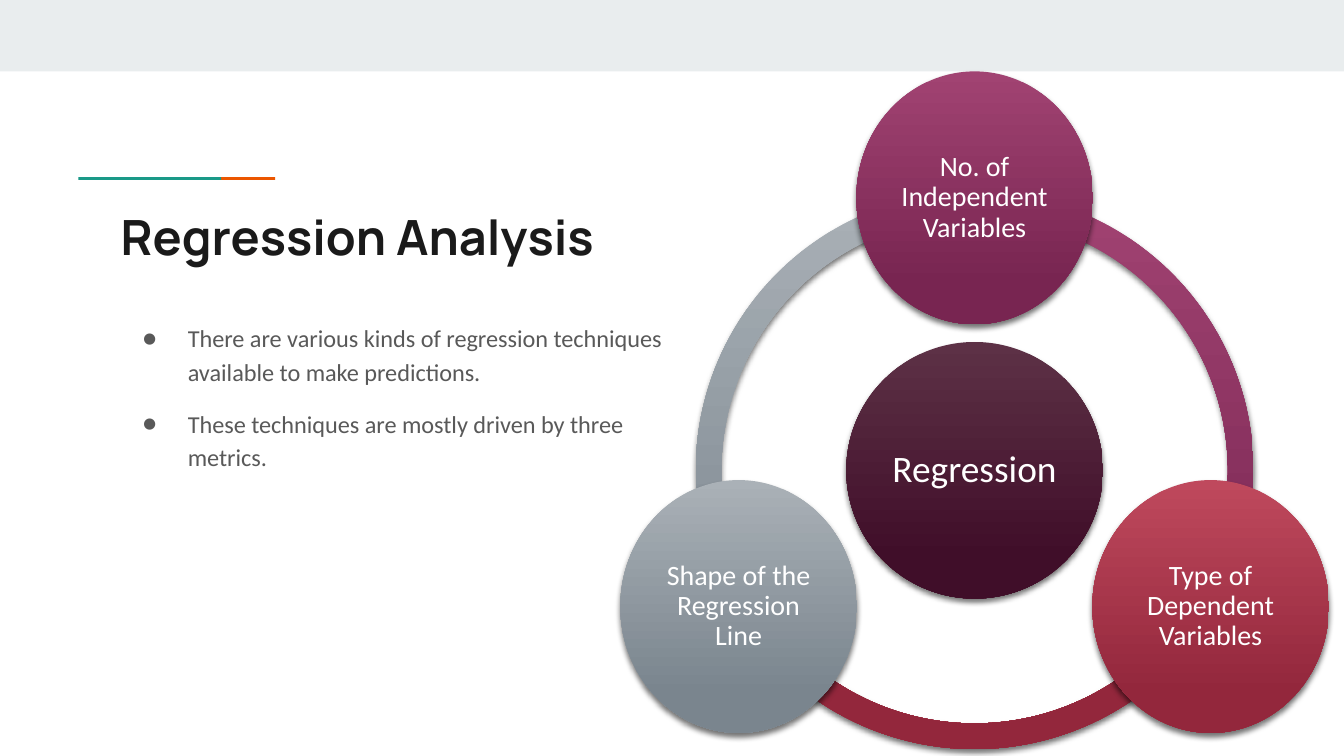
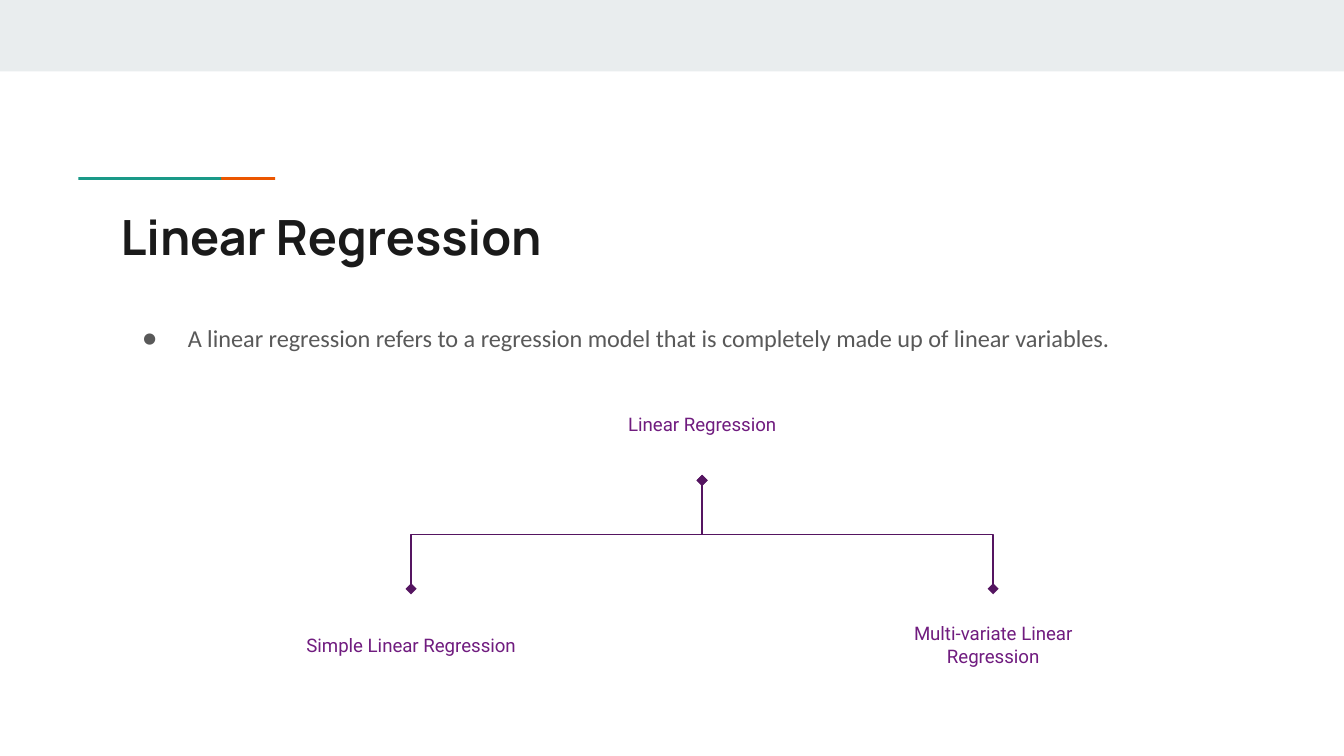
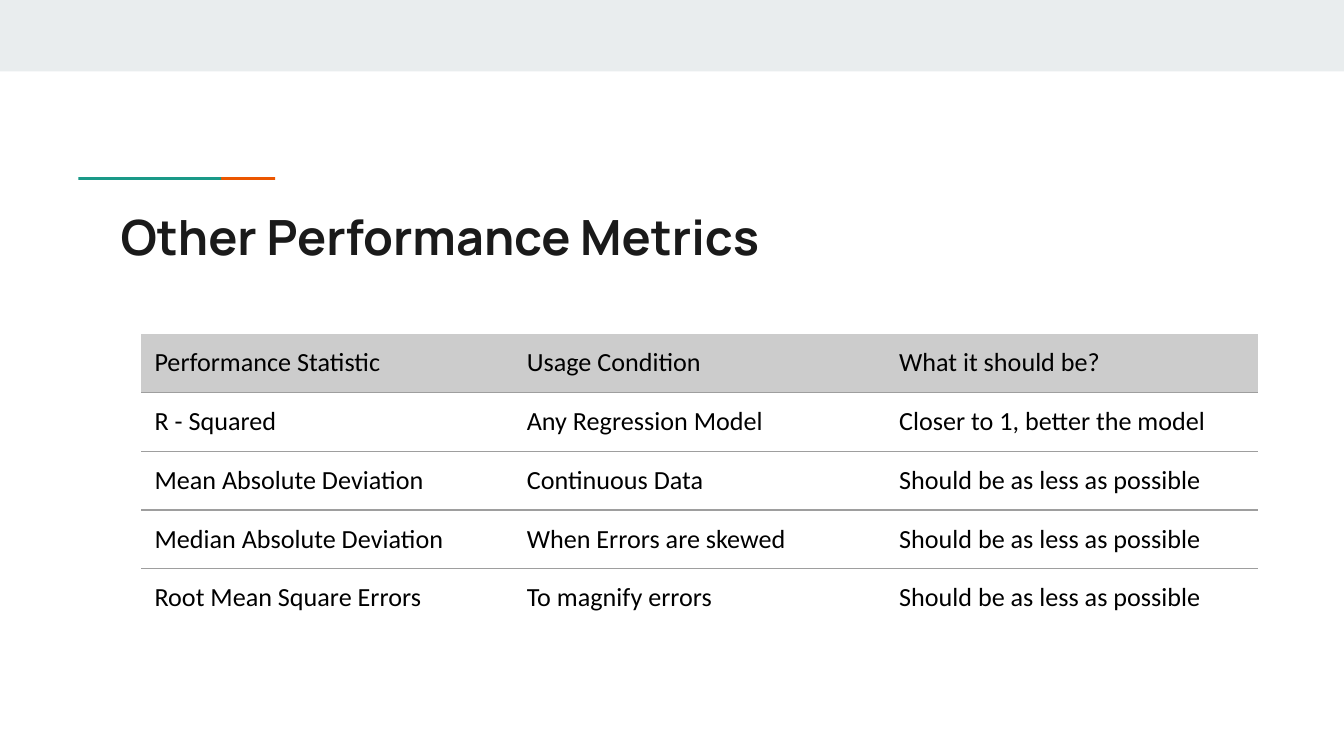
import math

import lxml.etree
import pptx
import pptx.dml.color
import pptx.enum.shapes
import pptx.enum.text
import pptx.oxml
import pptx.oxml.ns
import pptx.util

Cm = pptx.util.Cm
Pt = pptx.util.Pt
Shape = pptx.enum.shapes.MSO_SHAPE
Align = pptx.enum.text.PP_ALIGN
Anchor = pptx.enum.text.MSO_ANCHOR
qn = pptx.oxml.ns.qn

COLOURS = {
    "band": "E9EDEE", "teal": "1A9988", "orange": "EB5600",
    "title": "1A1A1A", "body": "595959", "white": "FFFFFF", "black": "000000",
    "tree line": "551561", "tree text": "701C7F",
    "header": "CCCCCC", "rule": "9E9E9E",
    "grey top": "AAB1B7", "grey": "7A858E",
    "red top": "BF495D", "red": "93273C",
    "berry top": "A14372", "berry": "782551",
    "plum top": "5D3146", "plum": "400E29",
}
INSET = Cm(0.25)
CONTENT_LEFT, CONTENT_WIDTH = Cm(2.03), Cm(21.36)
BODY_SIZE = 13


def colour(name):
    """Return a named colour as an RGBColor."""
    return pptx.dml.color.RGBColor.from_string(COLOURS[name])


def drawing(xml):
    """Parse one DrawingML element written with the prefix a."""
    head, mark, rest = xml.partition(" ")
    return pptx.oxml.parse_xml(f"{head} {pptx.oxml.ns.nsdecls('a')}{mark}{rest}")


def set_font(para, name, size, colour_name, bold=False):
    """Set the font of a whole paragraph."""
    para.font.name = name
    para.font.size = Pt(size)
    para.font.bold = bold
    para.font.color.rgb = colour(colour_name)


def set_insets(frame, inset):
    """Make a text frame wrap and give it equal margins."""
    frame.word_wrap = True
    frame.margin_left = frame.margin_right = inset
    frame.margin_top = frame.margin_bottom = inset


def add_text_box(page, left, top, width, height):
    """Add a wrapping text box and return its text frame."""
    frame = page.shapes.add_textbox(left, top, width, height).text_frame
    set_insets(frame, INSET)
    return frame


def add_bar(page, left, top, width, height, fill):
    """Add a plain filled rectangle."""
    bar = page.shapes.add_shape(Shape.RECTANGLE, left, top, width, height)
    bar.shadow.inherit = False
    bar.fill.solid()
    bar.fill.fore_color.rgb = colour(fill)
    bar.line.fill.background()


def add_page(deck, title):
    """Add a page with the band, the two-colour rule and the title."""
    page = deck.slides.add_slide(deck.slide_layouts[6])
    add_bar(page, 0, 0, deck.slide_width, Cm(1.35), "band")
    # The teal bar lies over the start of the orange one.
    for left, fill in ((Cm(2.5), "orange"), (Cm(1.48), "teal")):
        add_bar(page, left, Cm(3.35), Cm(2.7), Cm(0.05), fill)
    frame = add_text_box(page, CONTENT_LEFT, Cm(3.66), CONTENT_WIDTH, Cm(1.5))
    frame.text = title
    set_font(frame.paragraphs[0], "Manrope", 26, "title", bold=True)
    return page


def add_bullets(page, left, top, width, height, lines):
    """Add a bulleted list."""
    frame = add_text_box(page, left, top, width, height)
    frame.text = "\n".join(lines)
    for index, para in enumerate(frame.paragraphs):
        settings = para._p.get_or_add_pPr()
        settings.set("marL", str(Cm(1.27)))
        settings.set("indent", str(-Cm(0.86)))
        settings.append(drawing(
            f'<a:buClr ><a:srgbClr val="{COLOURS["body"]}"/></a:buClr>'))
        settings.append(drawing(f'<a:buSzPts val="{BODY_SIZE * 100}"/>'))
        settings.append(drawing('<a:buFont typeface="Calibri"/>'))
        settings.append(drawing('<a:buChar char="●"/>'))
        para.line_spacing = 1.15
        if index:
            para.space_before = para.space_after = Pt(10)
        set_font(para, "Calibri", BODY_SIZE, "body")


def add_glossy(page, kind, left, top, width, height, tone):
    """Add a shape with a vertical gradient and a soft shadow below."""
    shape = page.shapes.add_shape(kind, left, top, width, height)
    shape.line.fill.background()
    shape.fill.gradient()
    shape.fill.gradient_angle = 270
    stops = zip(shape.fill.gradient_stops, (0, 0.84), (f"{tone} top", tone))
    for stop, position, name in stops:
        stop.position = position
        stop.color.rgb = colour(name)
    shape.shadow.inherit = False
    effects = shape._element.spPr.find(qn("a:effectLst"))
    effects.append(drawing(
        f'<a:outerShdw blurRad="{Pt(3)}" dist="{Pt(2)}" dir="5400000" rotWithShape="0">'
        f'<a:srgbClr val="{COLOURS["black"]}"><a:alpha val="55000"/></a:srgbClr>'
        '</a:outerShdw>'))
    return shape


def add_disc(page, centre_x, centre_y, width, height, tone, label, size):
    """Add a labelled ellipse around a centre."""
    disc = add_glossy(page, Shape.OVAL, round(centre_x - width / 2),
                      round(centre_y - height / 2), width, height, tone)
    frame = disc.text_frame
    set_insets(frame, Cm(0.06))
    frame.vertical_anchor = Anchor.MIDDLE
    frame.text = label
    para = frame.paragraphs[0]
    para.alignment = Align.CENTER
    para.line_spacing = 0.9
    set_font(para, "Calibri", size, "white")


def add_wheel(page, left, top, diameter, hub, satellites):
    """Add a ring of three arcs, a hub and a disc at each joint."""
    # Arc angles are in 60000ths of a degree, scaled by 100000.
    for tone, start, end in (("grey", 150, 270), ("red", 30, 150), ("berry", 270, 30)):
        arc = add_glossy(page, Shape.BLOCK_ARC, left, top, diameter, diameter, tone)
        for index, value in enumerate((start * 0.6, end * 0.6, 0.046)):
            arc.adjustments[index] = value
    centre_x, centre_y = left + diameter / 2, top + diameter / 2
    add_disc(page, centre_x, centre_y, Cm(4.85), Cm(4.85), "plum", hub, 20)
    orbit = Cm(5.15)
    for index, (label, tone) in enumerate(satellites):
        angle = math.radians(-90 + index * 360 / len(satellites))
        add_disc(page, centre_x + orbit * math.cos(angle),
                 centre_y + orbit * math.sin(angle),
                 Cm(4.47), Cm(4.78), tone, label, 15)


def add_branch(page, begin, end):
    """Add an elbow line running rightwards that starts and ends vertically."""
    branch = page.shapes.add_connector(
        pptx.enum.shapes.MSO_CONNECTOR.ELBOW, *begin, *end)
    centre_x = branch.left + branch.width // 2
    centre_y = branch.top + branch.height // 2
    # A quarter turn swaps the sides of the frame around its centre.
    branch.width, branch.height = branch.height, branch.width
    branch.left = centre_x - branch.width // 2
    branch.top = centre_y - branch.height // 2
    settings = branch._element.spPr
    frame = settings.find(qn("a:xfrm"))
    frame.set("rot", str(270 * 60000))
    frame.set("flipH", "1" if end[1] > begin[1] else "0")
    frame.set("flipV", "0")
    branch.line.color.rgb = colour("tree line")
    branch.line.width = Pt(0.75)
    for name in ("headEnd", "tailEnd"):
        branch.line._get_or_add_ln().append(drawing(f'<a:{name} type="diamond"/>'))
    lxml.etree.SubElement(settings, qn("a:effectLst"))


def add_tree(page, left, top, width, height, root, leaves):
    """Add a root label above two leaf labels, joined by elbow lines."""
    label_width, label_height = Cm(4.78), Cm(2.11)
    middle = left + width // 2
    leaf_top = top + height - label_height
    first, last = left + label_width // 2, left + width - label_width // 2
    fork = (middle, top + label_height)
    add_branch(page, fork, (last, leaf_top))
    add_branch(page, (first, leaf_top), fork)
    labels = ((root, middle, top), (leaves[0], first, leaf_top),
              (leaves[1], last, leaf_top))
    for text, centre, label_top in labels:
        frame = add_text_box(page, centre - label_width // 2, label_top,
                             label_width, label_height)
        frame.vertical_anchor = Anchor.MIDDLE
        frame.text = text
        para = frame.paragraphs[0]
        para.alignment = Align.CENTER
        set_font(para, "Roboto", 10, "tree text")


def add_rule(cell, side):
    """Draw the top (lnT) or bottom (lnB) border of a cell."""
    border = drawing(
        f'<a:{side} w="{Pt(0.75)}"><a:solidFill><a:srgbClr val="{COLOURS["rule"]}"/>'
        f'</a:solidFill></a:{side}>')
    cell._tc.get_or_add_tcPr().insert(0, border)


def add_metric_table(page, left, top, width, row_height, rows):
    """Add a table with a grey header and thin rules between rows."""
    table = page.shapes.add_table(len(rows), len(rows[0]), left, top, width,
                                  row_height * len(rows)).table
    table.first_row = table.horz_banding = False
    style = table._tbl.tblPr.find(qn("a:tableStyleId"))
    style.text = "{2D5ABB26-0587-4C30-8999-92F81FD0307C}"  # no style, no grid
    for row_index, texts in enumerate(rows):
        for column_index, text in enumerate(texts):
            cell = table.cell(row_index, column_index)
            cell.text = text
            set_font(cell.text_frame.paragraphs[0], "Calibri", 14, "black")
            cell.margin_left = cell.margin_right = INSET
            cell.margin_top = cell.margin_bottom = INSET
            if row_index == 0:
                cell.fill.solid()
                cell.fill.fore_color.rgb = colour("header")
            else:
                cell.fill.background()
            if row_index < len(rows) - 1:
                add_rule(cell, "lnB")
            if row_index:
                add_rule(cell, "lnT")


def build_deck():
    """Build the three pages and save the deck."""
    deck = pptx.Presentation()
    deck.slide_width, deck.slide_height = Cm(25.4), Cm(14.29)

    page = add_page(deck, "Regression Analysis")
    add_bullets(page, CONTENT_LEFT, Cm(5.78), Cm(10.9), Cm(6.27), [
        "There are various kinds of regression techniques available to make predictions.",
        "These techniques are mostly driven by three metrics.",
    ])
    add_wheel(page, Cm(13.15), Cm(3.62), Cm(10.54), "Regression", [
        ("No. of Independent Variables", "berry"),
        ("Type of Dependent Variables", "red"),
        ("Shape of the Regression Line", "grey"),
    ])

    page = add_page(deck, "Linear Regression")
    add_bullets(page, CONTENT_LEFT, Cm(5.78), CONTENT_WIDTH, Cm(6.27), [
        "A linear regression refers to a regression model that is completely "
        "made up of linear variables.",
    ])
    add_tree(page, Cm(5.38), Cm(6.97), Cm(15.78), Cm(6.27), "Linear Regression",
             ["Simple Linear Regression", "Multi-variate Linear Regression"])

    page = add_page(deck, "Other Performance Metrics")
    add_metric_table(page, Cm(2.67), Cm(6.31), Cm(21.11), Cm(1.11), [
        ("Performance Statistic", "Usage Condition", "What it should be?"),
        ("R - Squared", "Any Regression Model", "Closer to 1, better the model"),
        ("Mean Absolute Deviation", "Continuous Data", "Should be as less as possible"),
        ("Median Absolute Deviation", "When Errors are skewed",
         "Should be as less as possible"),
        ("Root Mean Square Errors", "To magnify errors", "Should be as less as possible"),
    ])

    deck.save("out.pptx")


build_deck()
